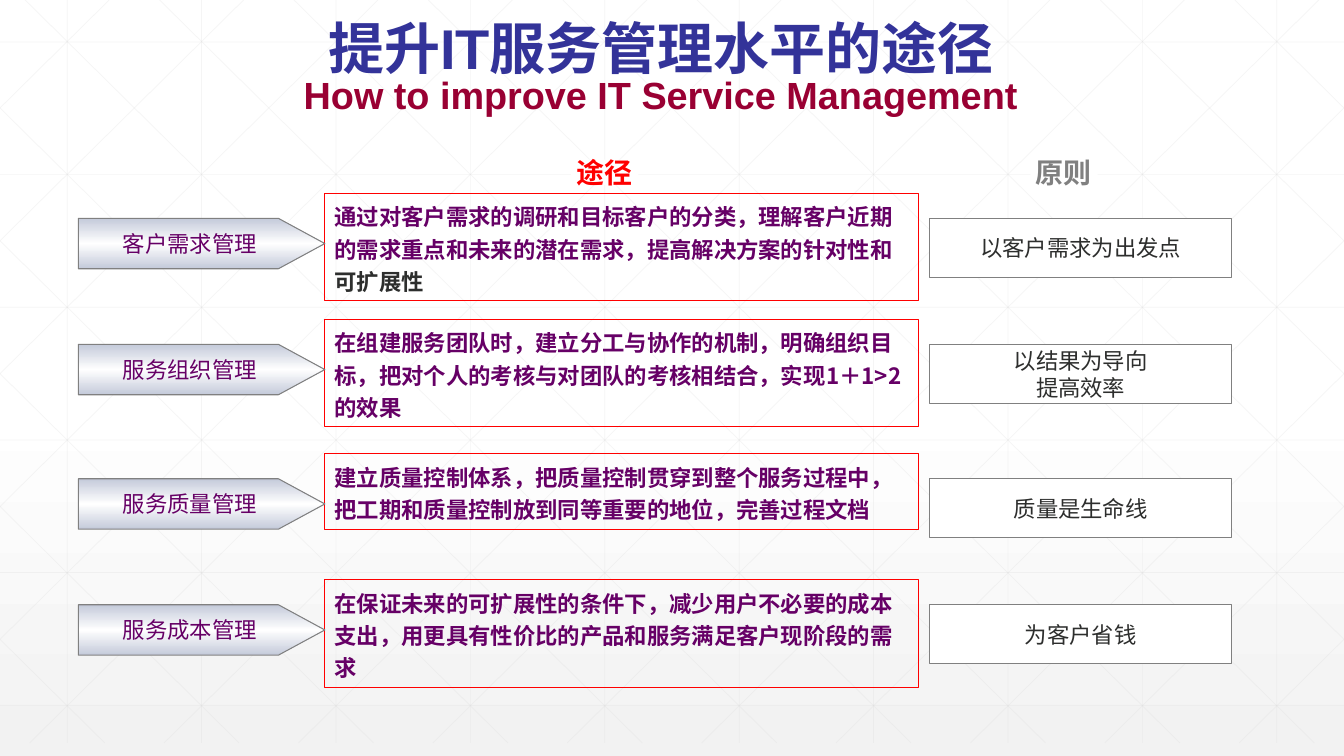
from lxml import etree
from pptx import Presentation
from pptx.dml.color import RGBColor
from pptx.enum import shapes, text
from pptx.oxml.ns import qn
from pptx.util import Pt

WHITE = RGBColor(0xFF, 0xFF, 0xFF)
PALE_GRAY = RGBColor(0xF2, 0xF2, 0xF2)
GRID_GRAY = RGBColor(0xD9, 0xD9, 0xD9)
STEEL = RGBColor(0xC4, 0xCA, 0xDA)
GRAY = RGBColor(0x80, 0x80, 0x80)
INK = RGBColor(0x2D, 0x2E, 0x2D)
PURPLE = RGBColor(0x66, 0x00, 0x66)
RED = RGBColor(0xFF, 0x00, 0x00)
NAVY = RGBColor(0x33, 0x33, 0x99)
CRIMSON = RGBColor(0x99, 0x00, 0x33)

LATIN_FONT = "Arial"
CJK_FONT = "Noto Sans CJK SC"
SLIDE_W, SLIDE_H = 960, 540
GRID_H = 530.6
DIAGONAL_RUN = 1.0116

ROWS = [
    (156, 77, "客户需求管理",
     ["通过对客户需求的调研和目标客户的分类，理解客户近期的需求重点和未来的潜在需求，提高解决方案的针对性和",
      "可扩展性"],
     "以客户需求为出发点"),
    (246, 77, "服务组织管理",
     ["在组建服务团队时，建立分工与协作的机制，明确组织目标，把对个人的考核与对团队的考核相结合，实现1＋1>2的效果"],
     "以结果为导向\n提高效率"),
    (342, 54, "服务质量管理",
     ["建立质量控制体系，把质量控制贯穿到整个服务过程中，把工期和质量控制放到同等重要的地位，完善过程文档"],
     "质量是生命线"),
    (432, 77, "服务成本管理",
     ["在保证未来的可扩展性的条件下，减少用户不必要的成本支出，用更具有性价比的产品和服务满足客户现阶段的需求"],
     "为客户省钱"),
]


def style_run(run, size, color, bold=False, font=LATIN_FONT):
    run.font.size = Pt(size)
    run.font.bold = bold
    run.font.name = font
    run.font.color.rgb = color
    east_asian = etree.SubElement(run.font._element, qn("a:ea"))
    east_asian.set("typeface", CJK_FONT)


def set_gradient(fill, owner, stops):
    fill.gradient()
    fill.gradient_angle = 270
    stop_list = owner.find(".//" + qn("a:gsLst"))
    for stop in list(stop_list):
        stop_list.remove(stop)
    for position, color, opacity in stops:
        stop = etree.SubElement(stop_list, qn("a:gs"), pos=str(position * 1000))
        tint = etree.SubElement(stop, qn("a:srgbClr"), val=str(color))
        if opacity < 100:
            etree.SubElement(tint, qn("a:alpha"), val=str(opacity * 1000))


def add_grid_line(slide, x1, y1, x2, y2):
    line = slide.shapes.add_connector(
        shapes.MSO_CONNECTOR.STRAIGHT, Pt(x1), Pt(y1), Pt(x2), Pt(y2))
    line.line.width = Pt(0.5)
    line.line.color.rgb = GRID_GRAY
    properties = line._element.spPr
    tint = properties.find(".//" + qn("a:srgbClr"))
    etree.SubElement(tint, qn("a:alpha"), val="25000")
    etree.SubElement(properties, qn("a:effectLst"))


def draw_grid(slide):
    for column in range(10):
        x = 48 + 96 * column
        add_grid_line(slide, x, 0, x, GRID_H)
    for row in range(6):
        y = 30 + 94.75 * row
        add_grid_line(slide, 0, y, SLIDE_W, y)
    for step in range(-5, 10):
        top_x = 18 + 96 * step
        y1 = max(0, -top_x / DIAGONAL_RUN)
        y2 = min(GRID_H, (SLIDE_W - top_x) / DIAGONAL_RUN)
        x1, x2 = (top_x + y * DIAGONAL_RUN for y in (y1, y2))
        add_grid_line(slide, x1, y1, x2, y2)
        add_grid_line(slide, SLIDE_W - x1, y1, SLIDE_W - x2, y2)


def add_box(slide, left, top, width, height, border=None, fill=None,
            preset=shapes.MSO_SHAPE.RECTANGLE):
    box = slide.shapes.add_shape(preset, Pt(left), Pt(top), Pt(width), Pt(height))
    box.shadow.inherit = False
    if fill is None:
        box.fill.background()
    else:
        box.fill.solid()
        box.fill.fore_color.rgb = fill
    if border is None:
        box.line.fill.background()
    else:
        box.line.color.rgb = border
        box.line.width = Pt(0.75)
    return box


def write_centered(box, words, size, color, bold=False):
    frame = box.text_frame
    frame.text = words
    frame.word_wrap = False
    frame.vertical_anchor = text.MSO_ANCHOR.MIDDLE
    for paragraph in frame.paragraphs:
        paragraph.alignment = text.PP_ALIGN.CENTER
        style_run(paragraph.runs[0], size, color, bold)


def add_heading(slide, left, words, color):
    heading = add_box(slide, left, 114, 48, 18, fill=WHITE)
    write_centered(heading, words, 20, color, True)


def add_area(slide, top, words):
    area = add_box(slide, 56, top, 176, 36, GRAY, WHITE, shapes.MSO_SHAPE.PENTAGON)
    area.adjustments[0] = 0.92
    set_gradient(area.fill, area._element.spPr,
                 [(0, STEEL, 100), (50, WHITE, 100), (100, STEEL, 100)])
    write_centered(area, words, 16, PURPLE)


def add_approach(slide, top, height, parts):
    approach = add_box(slide, 232, top, 424, height, RED)
    frame = approach.text_frame
    frame.word_wrap = True
    frame.auto_size = text.MSO_AUTO_SIZE.SHAPE_TO_FIT_TEXT
    frame.vertical_anchor = text.MSO_ANCHOR.TOP
    paragraph = frame.paragraphs[0]
    paragraph.alignment = text.PP_ALIGN.LEFT
    paragraph.line_spacing = 1.2
    styles = [(PURPLE, CJK_FONT), (INK, LATIN_FONT)]
    for words, (color, font) in zip(parts, styles):
        run = paragraph.add_run()
        run.text = words
        style_run(run, 16, color, True, font)


def add_principle(slide, top, words):
    principle = add_box(slide, 664, top, 216, 42, GRAY, WHITE)
    write_centered(principle, words, 16, INK)


def write_title(slide):
    title = slide.shapes.title
    title.left, title.top, title.width, title.height = Pt(94), Pt(9.5), Pt(756), Pt(83)
    frame = title.text_frame
    frame.text = "提升IT服务管理水平的途径\vHow to improve IT Service Management"
    frame.word_wrap = True
    frame.auto_size = text.MSO_AUTO_SIZE.NONE
    frame.vertical_anchor = text.MSO_ANCHOR.MIDDLE
    paragraph = frame.paragraphs[0]
    paragraph.alignment = text.PP_ALIGN.CENTER
    paragraph.line_spacing = 0.8
    chinese, english = paragraph.runs
    style_run(chinese, 40, NAVY, True)
    style_run(english, 27, CRIMSON, True)
    line_break = paragraph._p.find(qn("a:br"))
    etree.SubElement(line_break, qn("a:rPr"), sz="4000")
    slide.shapes._spTree.append(title._element)


def main():
    deck = Presentation()
    deck.slide_width, deck.slide_height = Pt(SLIDE_W), Pt(SLIDE_H)
    slide = deck.slides.add_slide(deck.slide_layouts[5])
    set_gradient(slide.background.fill, slide.element,
                 [(0, WHITE, 100), (53, WHITE, 100), (100, PALE_GRAY, 65)])
    draw_grid(slide)
    write_title(slide)
    add_heading(slide, 408, "途径", RED)
    add_heading(slide, 736, "原则", GRAY)
    for top, approach_height, area, approach, principle in ROWS:
        add_principle(slide, top, principle)
        add_approach(slide, top - 18, approach_height, approach)
        add_area(slide, top, area)
    deck.save("out.pptx")


if __name__ == "__main__":
    main()
